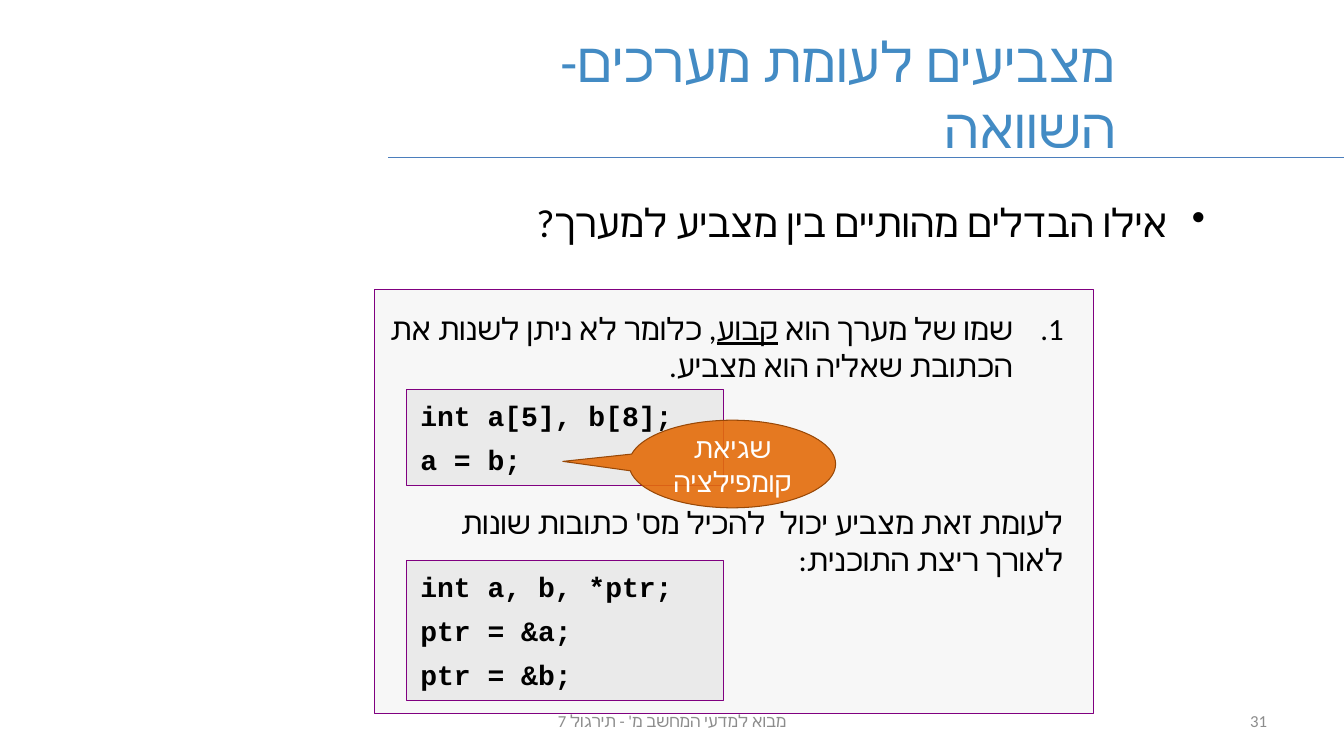
from dataclasses import dataclass

from lxml import etree
from pptx import Presentation
from pptx.dml.color import RGBColor
from pptx.enum import shapes, text
from pptx.oxml.ns import qn
from pptx.util import Pt

HEX = {
    "title": "438BC4", "rule": "4B7EBC", "ink": "000000", "gray": "8C8C8C",
    "panel": "F7F7F7", "code": "EAEAEA", "edge": "800080",
    "alert": "E46C0A", "rim": "984807", "white": "FFFFFF",
}
RIGHT, CENTER = text.PP_ALIGN.RIGHT, text.PP_ALIGN.CENTER
TOP, MIDDLE = text.MSO_ANCHOR.TOP, text.MSO_ANCHOR.MIDDLE
RECT = shapes.MSO_SHAPE.RECTANGLE
CALLOUT = shapes.MSO_SHAPE.OVAL_CALLOUT


@dataclass
class Box:
    left: float
    top: float
    width: float
    height: float

    def args(self) -> tuple:
        return tuple(Pt(n) for n in (self.left, self.top, self.width, self.height))


@dataclass
class Label:
    box: Box
    words: str
    size: float
    color: str = "ink"
    align: text.PP_ALIGN = RIGHT
    anchor: text.MSO_ANCHOR = TOP


@dataclass
class Code:
    box: Box
    lines: list[str]


def color(name: str) -> RGBColor:
    return RGBColor.from_string(HEX[name])


def style(par, size: float, tint: str, align=RIGHT, face: str = "Calibri") -> None:
    """Format a Hebrew paragraph, written from right to left."""
    par.alignment = align
    par.font.size = Pt(size)
    par.font.name = face
    par.font.color.rgb = color(tint)
    props = par._p.pPr
    props.set("rtl", "1")
    etree.SubElement(props.find(qn("a:defRPr")), qn("a:cs"), typeface="Calibri")


def mark(par, tag: str, indent: float, **attrs: str) -> None:
    """Give a styled paragraph a hanging bullet or number."""
    props = par._p.pPr
    props.set("marL", str(Pt(indent)))
    props.set("indent", str(Pt(-indent)))
    bullet = etree.Element(qn(tag), **attrs)
    props.find(qn("a:defRPr")).addprevious(bullet)


def add_label(slide, label: Label):
    frame = slide.shapes.add_textbox(*label.box.args()).text_frame
    frame.word_wrap = True
    frame.vertical_anchor = label.anchor
    par = frame.paragraphs[0]
    par.text = label.words
    style(par, label.size, label.color, label.align)
    return frame


def add_panel(slide, kind, box: Box, fill: str, edge: str):
    panel = slide.shapes.add_shape(kind, *box.args())
    panel.shadow.inherit = False
    panel.fill.solid()
    panel.fill.fore_color.rgb = color(fill)
    panel.line.color.rgb = color(edge)
    panel.line.width = Pt(0.75)
    return panel


def add_code(slide, code: Code) -> None:
    frame = add_panel(slide, RECT, code.box, "code", "edge").text_frame
    frame.word_wrap = True
    frame.vertical_anchor = TOP
    frame.margin_left = frame.margin_right = Pt(10)
    frame.margin_top = frame.margin_bottom = Pt(6.5)
    for i, line in enumerate(code.lines):
        par = frame.paragraphs[0] if i == 0 else frame.add_paragraph()
        par.text = line
        par.alignment = text.PP_ALIGN.LEFT
        par.space_before = Pt(7.3)
        par.font.size = Pt(20)
        par.font.bold = True
        par.font.name = "Courier New"
        par.font.color.rgb = color("ink")


def add_rule(slide, start: float, end: float, y: float) -> None:
    rule = slide.shapes.add_connector(
        shapes.MSO_CONNECTOR.STRAIGHT, Pt(start), Pt(y), Pt(end), Pt(y))
    rule.line.color.rgb = color("rule")
    rule.line.width = Pt(0.75)
    etree.SubElement(rule._element.spPr, qn("a:effectLst"))


def add_title(slide, box: Box, words: str) -> None:
    title = slide.shapes.title
    title.left, title.top, title.width, title.height = box.args()
    frame = title.text_frame
    frame.auto_size = text.MSO_AUTO_SIZE.NONE
    frame.vertical_anchor = MIDDLE
    par = frame.paragraphs[0]
    par.text = words
    style(par, 39.6, "title", face="Arial")


def add_points(slide, box: Box) -> None:
    """Add the numbered claim and the contrast below the first code."""
    frame = slide.shapes.add_textbox(*box.args()).text_frame
    frame.word_wrap = True
    claim = frame.paragraphs[0]
    for words in ("שמו של מערך הוא ", "קבוע",
                  ", כלומר לא ניתן לשנות את הכתובת שאליה הוא מצביע."):
        claim.add_run().text = words
    claim.runs[1].font.underline = True
    style(claim, 22, "ink")
    mark(claim, "a:buAutoNum", 36, type="arabicPeriod")
    contrast = frame.add_paragraph()
    contrast.text = "לעומת זאת מצביע יכול  להכיל מס' כתובות שונות לאורך ריצת התוכנית:"
    contrast.space_before = Pt(86)
    style(contrast, 22, "ink")


def add_alert(slide, box: Box, words: str) -> None:
    alert = add_panel(slide, CALLOUT, box, "alert", "rim")
    alert.adjustments[0] = -0.82
    alert.adjustments[1] = -0.03
    tint = alert.fill._xPr.find(qn("a:solidFill"))[0]
    etree.SubElement(tint, qn("a:alpha"), val="90000")
    frame = alert.text_frame
    frame.word_wrap = True
    frame.vertical_anchor = MIDDLE
    par = frame.paragraphs[0]
    par.text = words
    style(par, 20, "white", CENTER)


def main() -> None:
    deck = Presentation()
    deck.slide_width, deck.slide_height = Pt(960), Pt(540)
    slide = deck.slides.add_slide(deck.slide_layouts[5])

    add_rule(slide, 960, 277.2, 112.3)
    add_title(slide, Box(267.8, 21.6, 536.4, 90), "מצביעים לעומת מערכים- השוואה")
    add_rule(slide, 840, 328.3, 112.3)

    question = add_label(slide, Label(
        Box(165.6, 138.2, 702.7, 371.5), "אילו הבדלים מהותיים בין מצביע למערך?", 28))
    mark(question.paragraphs[0], "a:buChar", 27, char="•")

    add_panel(slide, RECT, Box(267.8, 206.6, 513.4, 303.1), "panel", "edge")
    add_points(slide, Box(267.8, 217.4, 499, 287.3))
    add_code(slide, Code(Box(290.2, 278, 226.8, 69.1), ["int a[5], b[8];", "a = b;"]))
    add_alert(slide, Box(449.3, 300.2, 147.6, 62.6), "שגיאת קומפילציה")
    add_code(slide, Code(Box(290.2, 400.3, 226.8, 100.1),
                         ["int a, b, *ptr;", "ptr = &a;", "ptr = &b;"]))

    for label in (
        Label(Box(328.3, 500.4, 303.8, 28.8), "מבוא למדעי המחשב מ' - תירגול 7",
              12, "gray", CENTER, MIDDLE),
        Label(Box(688.3, 500.4, 223.9, 28.8), "31", 12, "gray", RIGHT, MIDDLE),
    ):
        add_label(slide, label)
    deck.save("out.pptx")


if __name__ == "__main__":
    main()
